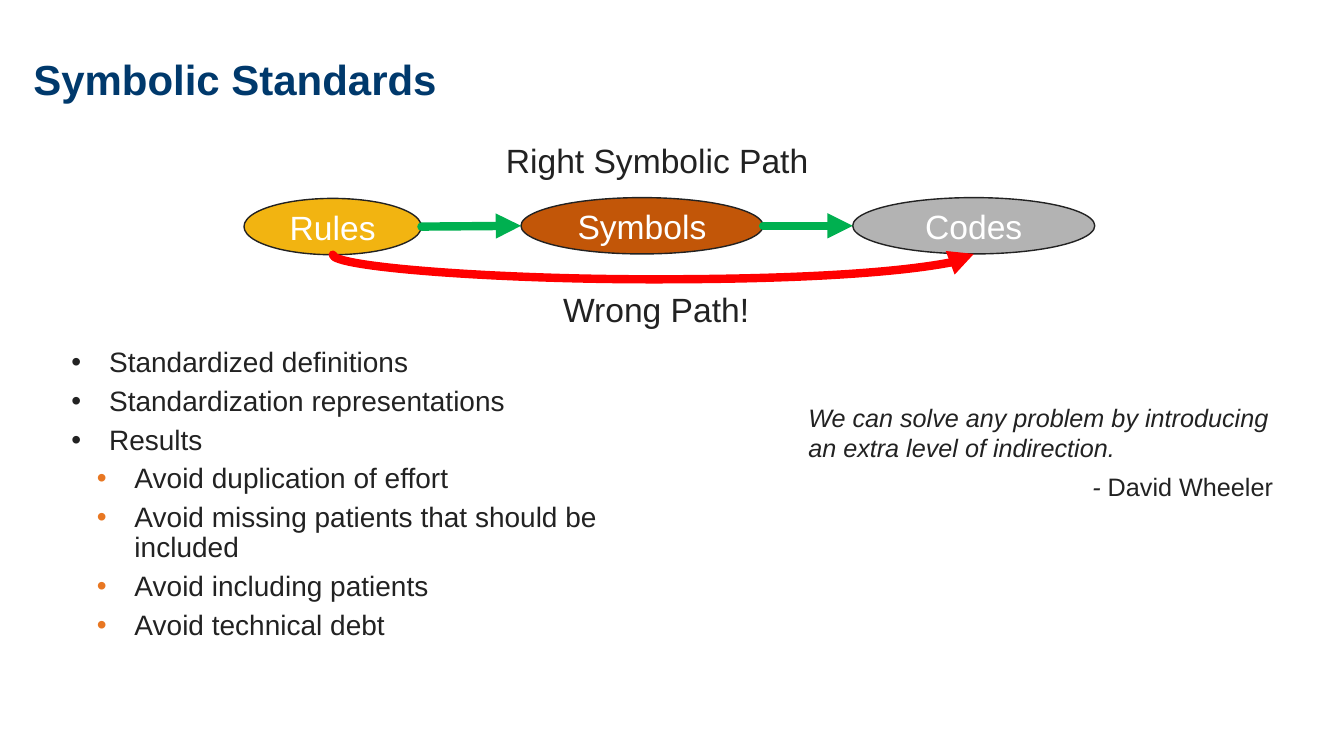
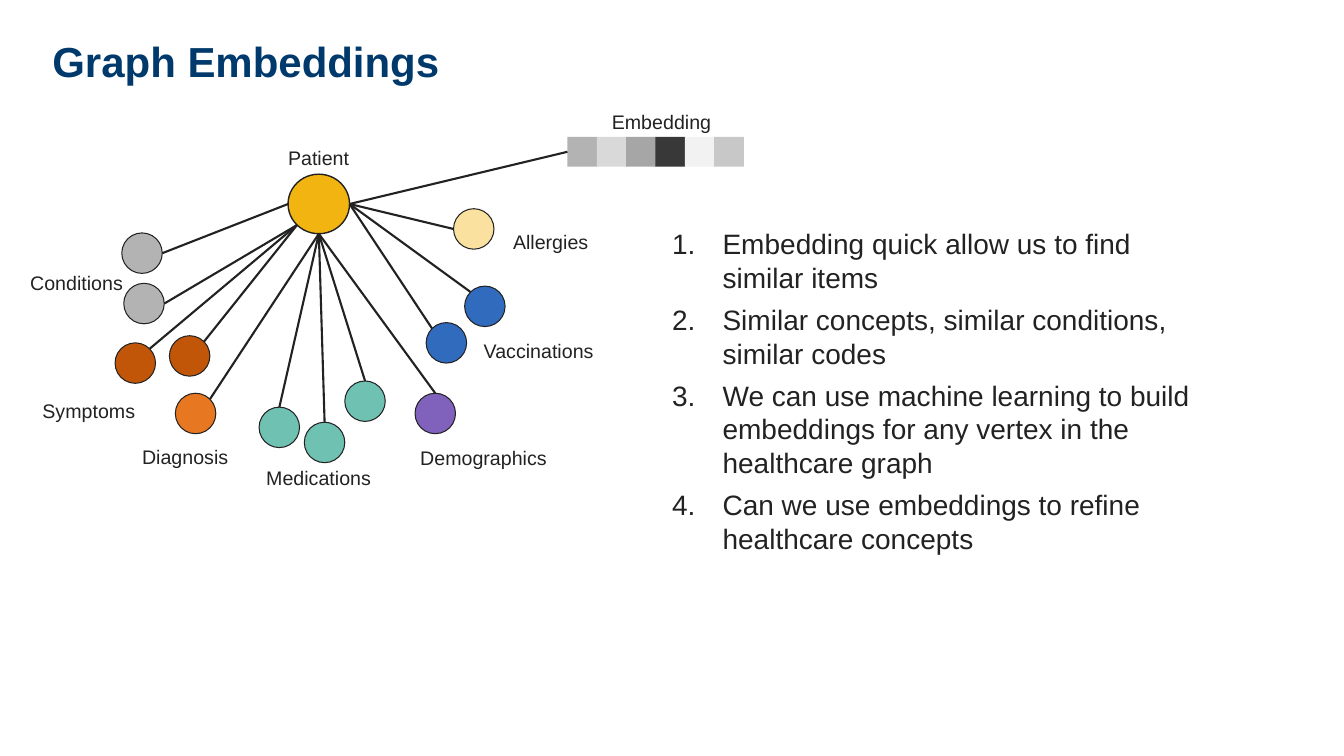
from math import cos, radians, sin

from lxml.etree import SubElement
from pptx import Presentation
from pptx.dml.color import RGBColor
from pptx.enum.shapes import MSO_CONNECTOR, MSO_SHAPE
from pptx.enum.text import MSO_ANCHOR, PP_ALIGN
from pptx.oxml.ns import qn
from pptx.util import Cm, Pt

INK, NAVY, WHITE = "222222", "00396C", "FFFFFF"
GOLD, RUST, GRAY, ORANGE = "F2B411", "C25608", "B3B3B3", "E87722"
TEAL, BLUE, PLUM, CREAM = "6FC1B1", "316BBE", "8061BC", "FAE1A0"
GREEN, RED = "00B050", "FF0000"
SIDES = {"E": 0, "S": 90, "SW": 135, "W": 180, "NW": 225, "N": 270, "NE": 315}


def color(code):
    """Turn a hex string into a colour."""
    return RGBColor.from_string(code)


def site(shape, side):
    """Find the point on an ellipse at a compass side."""
    turn = radians(SIDES[side])
    x = shape.left + shape.width / 2 * (1 + cos(turn))
    y = shape.top + shape.height / 2 * (1 + sin(turn))
    return round(x), round(y)


class Deck:
    """Hold the shared style and the current slide."""

    def __init__(self):
        """Start an empty wide deck."""
        self.file = Presentation()
        self.file.slide_width, self.file.slide_height = Cm(33.87), Cm(19.05)
        self.slide = None

    def start(self, title, box):
        """Add a slide with its title."""
        self.slide = self.file.slides.add_slide(self.file.slide_layouts[5])
        head = self.slide.shapes.title
        head.left, head.top, head.width, head.height = map(Cm, box)
        self.frame(head, True).vertical_anchor = MSO_ANCHOR.BOTTOM
        self.fill(head.text_frame.paragraphs[0], title, 30, NAVY, bold=True)
        head.text_frame.paragraphs[0].line_spacing = 0.9

    def frame(self, shape, wrap):
        """Clear the insets of a text frame."""
        frame = shape.text_frame
        frame.margin_left = frame.margin_right = 0
        frame.margin_top = frame.margin_bottom = 0
        frame.word_wrap = wrap
        return frame

    def fill(self, para, text, size, tint=INK, bold=False, slant=False,
             align=PP_ALIGN.LEFT):
        """Write a paragraph and format its runs."""
        para.text = text
        para.alignment = align
        for run in para.runs:
            self.style(run, size, tint, bold, slant)

    def style(self, run, size, tint=INK, bold=False, slant=False):
        """Format one run."""
        font = run.font
        font.name, font.size = "Arial", Pt(size)
        font.bold, font.italic = bold, slant
        font.color.rgb = color(tint)

    def text(self, box, wrap=True):
        """Add a plain text frame."""
        return self.frame(self.slide.shapes.add_textbox(*map(Cm, box)), wrap)

    def label(self, text, box, size):
        """Add a one-line label."""
        self.fill(self.text(box, False).paragraphs[0], text, size)

    def items(self, rows, box, hang, space=1.0, count=False):
        """Add a list of (level, text) rows."""
        frame = self.text(box)
        for place, (level, text) in enumerate(rows):
            para = frame.add_paragraph() if place else frame.paragraphs[0]
            para.level = level
            props = para._p.get_or_add_pPr()
            props.set("marL", str(Cm(hang + level * 0.64)))
            props.set("indent", str(-Cm(hang)))
            if level:
                tint = SubElement(props, qn("a:buClr"))
                SubElement(tint, qn("a:srgbClr"), val=ORANGE)
            SubElement(props, qn("a:buFont"), typeface="Arial")
            if count:
                SubElement(props, qn("a:buAutoNum"), type="arabicPeriod")
            else:
                SubElement(props, qn("a:buChar"), char="•")
            self.fill(para, text, 20)
            para.line_spacing = space
            para.space_before = Pt(6 if place else 0)

    def quote(self, words, name, box):
        """Add a quotation with its speaker."""
        frame = self.text(box)
        self.fill(frame.paragraphs[0], words, 18, slant=True)
        para = frame.add_paragraph()
        self.fill(para, "- ", 18, slant=True, align=PP_ALIGN.RIGHT)
        run = para.add_run()
        run.text = name
        self.style(run, 18)
        para.space_before = Pt(6)

    def shape(self, kind, box, tint, edge=0, home=None):
        """Add a filled shape, outlined if edge is given."""
        home = home or self.slide
        shape = home.shapes.add_shape(kind, *map(Cm, box))
        shape.shadow.inherit = False
        shape.fill.solid()
        shape.fill.fore_color.rgb = color(tint)
        if edge:
            shape.line.color.rgb = color(INK)
            shape.line.width = Pt(edge)
        else:
            shape.line.fill.background()
        return shape

    def oval(self, box, tint, edge, text=""):
        """Add an ellipse with an optional caption."""
        shape = self.shape(MSO_SHAPE.OVAL, box, tint, edge)
        if text:
            shape.text_frame.vertical_anchor = MSO_ANCHOR.MIDDLE
            self.fill(shape.text_frame.paragraphs[0], text, 24, WHITE,
                      align=PP_ALIGN.CENTER)
        return shape

    def cells(self, tints, left, top, size, step):
        """Add a grouped row of squares."""
        group = self.slide.shapes.add_group_shape()
        return [self.shape(MSO_SHAPE.RECTANGLE,
                           (left + place * step, top, size, size), tint,
                           home=group)
                for place, tint in enumerate(tints)]

    def line(self, start, end, tint=INK, width=1.5, head=False,
             kind=MSO_CONNECTOR.STRAIGHT):
        """Add a connector, with an arrowhead if wanted."""
        line = self.slide.shapes.add_connector(kind, *start, *end)
        line.line.color.rgb = color(tint)
        line.line.width = Pt(width)
        if head:
            edge = line.line._get_or_add_ln()
            edge.set("cap", "rnd")
            SubElement(edge, qn("a:tailEnd"), type="triangle")
        SubElement(line._element.spPr, qn("a:effectLst"))
        return line

    def swoop(self, start, end, tint, width):
        """Add a curved arrow that sags below its two ends."""
        mid, half = (start[0] + end[0]) // 2, (end[0] - start[0]) // 2
        low, thin = (start[1] + end[1]) // 2, Cm(0.01)
        line = self.line((mid + thin, low + half), (mid - thin, low - half),
                         tint, width, True, MSO_CONNECTOR.CURVE)
        props = line._element.spPr
        props.find(qn("a:xfrm")).set("rot", "5400000")
        guides = props.find(qn("a:prstGeom")).get_or_add_avLst()
        SubElement(guides, qn("a:gd"), name="adj1", fmla="val -3100000")


def paths(deck):
    """Build the slide on symbolic standards."""
    deck.start("Symbolic Standards", (0.84, 0.48, 29.21, 2.16))
    deck.items([(0, "Standardized definitions"),
                (0, "Standardization representations"),
                (0, "Results"),
                (1, "Avoid duplication of effort"),
                (1, "Avoid missing patients that should be included"),
                (1, "Avoid including patients"),
                (1, "Avoid technical debt")],
               (1.8, 8.79, 16.05, 6.93), 0.95, 0.9)
    rules = deck.oval((6.15, 5, 4.47, 1.42), GOLD, 1, "Rules")
    signs = deck.oval((13.13, 4.98, 6.1, 1.42), RUST, 1, "Symbols")
    codes = deck.oval((21.49, 4.98, 6.1, 1.42), GRAY, 1, "Codes")
    for first, last in ((rules, signs), (signs, codes)):
        deck.line(site(first, "E"), site(last, "W"), GREEN, 6, True)
    deck.swoop(site(rules, "S"), site(codes, "S"), RED, 6)
    deck.label("Right Symbolic Path", (12.75, 3.53, 7.9, 1.02), 24)
    deck.label("Wrong Path!", (14.19, 7.29, 4.9, 1.02), 24)
    deck.quote("We can solve any problem by introducing an extra level of "
               "indirection.", "David Wheeler", (20.37, 10.13, 11.71, 3.33))


def graph(deck):
    """Build the slide on graph embeddings."""
    deck.start("Graph Embeddings", (1.32, 1.04, 31.12, 1.14))
    deck.items([(0, "Embedding quick allow us to find similar items"),
                (0, "Similar concepts, similar conditions, similar codes"),
                (0, "We can use machine learning to build embeddings for any "
                    "vertex in the healthcare graph"),
                (0, "Can we use embeddings to refine healthcare concepts")],
               (16.94, 5.72, 13.61, 9.47), 1.27, count=True)
    hub = deck.oval((7.26, 4.39, 1.55, 1.5), GOLD, 1)
    nodes = [(3.07, 5.87, GRAY, "W", "E"), (3.12, 7.14, GRAY, "SW", "E"),
             (2.9, 8.64, RUST, "SW", "NE"), (4.27, 8.46, RUST, "SW", "NE"),
             (4.42, 9.91, ORANGE, "S", "NE"), (6.53, 10.26, TEAL, "S", "N"),
             (7.67, 10.64, TEAL, "S", "N"), (8.69, 9.6, TEAL, "S", "N"),
             (10.46, 9.91, PLUM, "S", "N"), (10.74, 8.13, BLUE, "E", "NW"),
             (11.71, 7.21, BLUE, "E", "NW"), (11.43, 5.26, CREAM, "E", "W")]
    for left, top, tint, start, end in nodes:
        node = deck.oval((left, top, 1.02, 1.02), tint, 0.75)
        deck.line(site(hub, start), site(node, end))
    cells = deck.cells([GRAY, "D9D9D9", "A6A6A6", "383838", "F2F2F2",
                        "C8C8C8"], 14.3, 3.45, 0.75, 0.74)
    link = deck.line(site(hub, "E"), site(cells[0], "W"))
    link.end_connect(cells[0], 1)
    labels = [("Patient", 7.26, 3.68, 1.7), ("Conditions", 0.76, 6.83, 2.5),
              ("Symptoms", 1.07, 10.06, 2.5), ("Diagnosis", 3.58, 11.2, 2.35),
              ("Medications", 6.71, 11.73, 2.9),
              ("Demographics", 10.59, 11.23, 3.4),
              ("Allergies", 12.93, 5.79, 2.1),
              ("Vaccinations", 12.19, 8.53, 3),
              ("Embedding", 15.42, 2.77, 2.7)]
    for text, left, top, width in labels:
        deck.label(text, (left, top, width, 0.61), 14)


def main():
    """Build and save the deck."""
    deck = Deck()
    paths(deck)
    graph(deck)
    deck.file.save("out.pptx")


if __name__ == "__main__":
    main()
